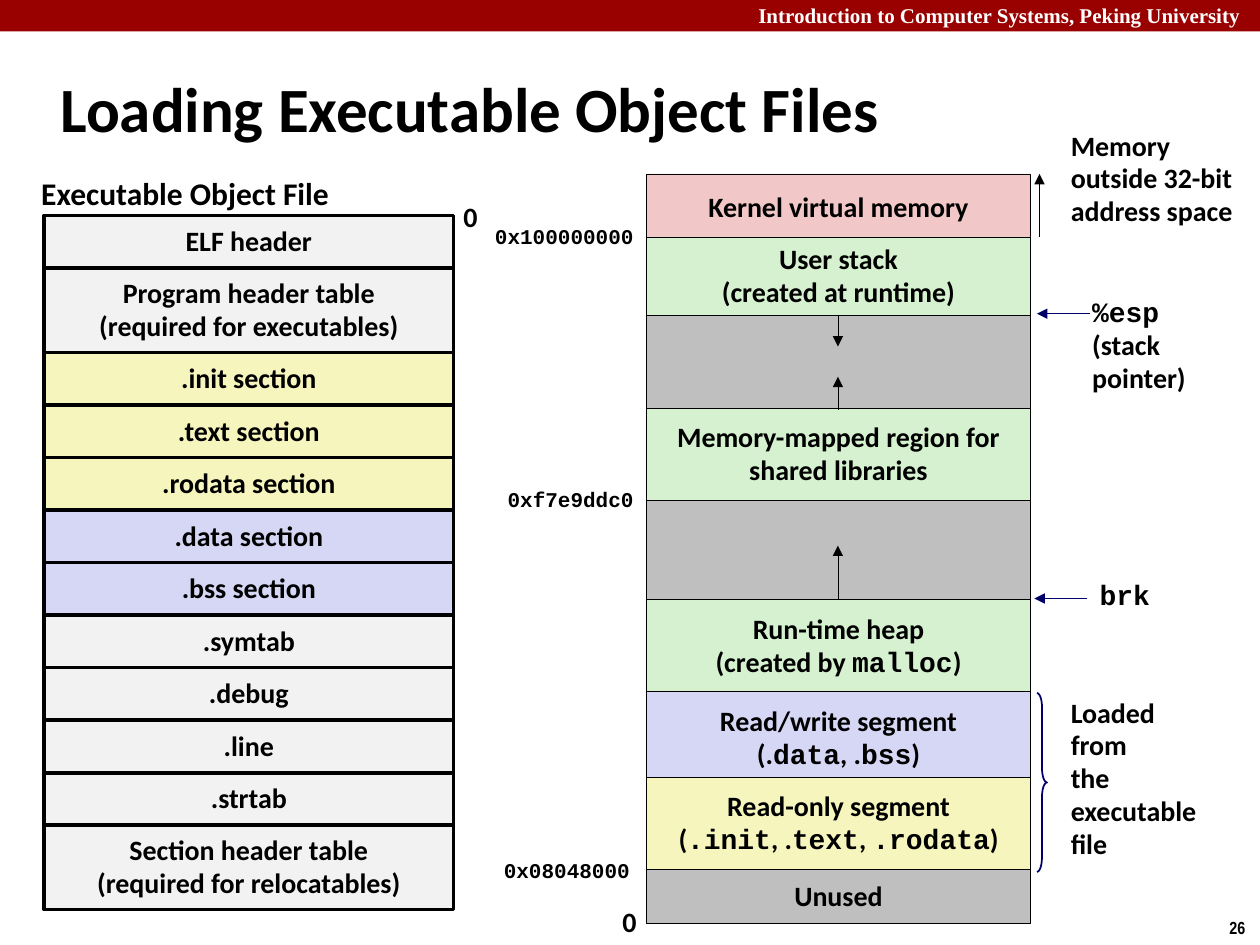
import lxml.etree
import pptx
import pptx.dml.color
import pptx.enum.shapes
import pptx.enum.text
import pptx.oxml.ns
import pptx.util

Inches = pptx.util.Inches
Color = pptx.dml.color.RGBColor
Shape = pptx.enum.shapes.MSO_SHAPE
Align = pptx.enum.text.PP_ALIGN
Anchor = pptx.enum.text.MSO_ANCHOR
AutoSize = pptx.enum.text.MSO_AUTO_SIZE

BLACK = Color(0x00, 0x00, 0x00)
WHITE = Color(0xFF, 0xFF, 0xFF)
CRIMSON = Color(0x99, 0x00, 0x00)
NAVY = Color(0x00, 0x00, 0x66)
LIGHT = Color(0xF2, 0xF2, 0xF2)
GRAY = Color(0xBF, 0xBF, 0xBF)
YELLOW = Color(0xF6, 0xF5, 0xBD)
LILAC = Color(0xD6, 0xD6, 0xF5)
GREEN = Color(0xD5, 0xF1, 0xCF)
PINK = Color(0xF1, 0xC7, 0xC7)


class SlideBuilder:
    """Draws styled elements on one page; a bar in text toggles the code font."""

    body_font = "Calibri"
    code_font = "Courier New"

    def __init__(self, page):
        self.page = page

    def apply(self, target, values):
        for name, value in values.items():
            setattr(target, name, value)

    def fill_text(self, box, text, size=16, font=body_font, color=BLACK,
                  align=Align.LEFT, spacing=None, **frame_values):
        frame = box.text_frame
        self.apply(frame, frame_values)
        for index, line in enumerate(text.split("\n")):
            para = frame.paragraphs[0] if index == 0 else frame.add_paragraph()
            default = 0.94 if line.startswith("|") else 0.98
            self.apply(para, {"alignment": align, "line_spacing": spacing or default})
            for position, piece in enumerate(line.split("|")):
                if piece:
                    span = para.add_run()
                    span.text = piece
                    name = self.code_font if position % 2 else font
                    self.apply(span.font, {"name": name, "size": pptx.util.Pt(size), "bold": True})
                    span.font.color.rgb = color

    def title(self, text, left, top, width, height):
        box = self.page.shapes.title
        self.apply(box, {"left": Inches(left), "top": Inches(top),
                         "width": Inches(width), "height": Inches(height)})
        self.fill_text(box, text, size=36, spacing=1.0, word_wrap=True,
                       vertical_anchor=Anchor.MIDDLE, auto_size=AutoSize.NONE)

    def label(self, text, left, top, width, height, **style):
        box = self.page.shapes.add_textbox(*map(Inches, (left, top, width, height)))
        self.fill_text(box, text, word_wrap=False,
                       auto_size=AutoSize.SHAPE_TO_FIT_TEXT, **style)

    def shape(self, left, top, width, height, kind=Shape.RECTANGLE,
              fill=None, line=None, weight=0.26, text=""):
        box = self.page.shapes.add_shape(kind, *map(Inches, (left, top, width, height)))
        box.shadow.inherit = False
        if fill is None:
            box.fill.background()
        else:
            box.fill.solid()
            box.fill.fore_color.rgb = fill
        if line is None:
            box.line.fill.background()
        else:
            box.line.color.rgb = line
            box.line.width = pptx.util.Pt(weight)
        if text:
            self.fill_text(box, text, align=Align.CENTER, word_wrap=False,
                           vertical_anchor=Anchor.MIDDLE)
        return box

    def arrow(self, start, end, color=BLACK):
        connector = self.page.shapes.add_connector(
            pptx.enum.shapes.MSO_CONNECTOR.STRAIGHT, *map(Inches, start + end))
        connector.line.color.rgb = color
        connector.line.width = pptx.util.Pt(0.26)
        qn = pptx.oxml.ns.qn
        properties = connector.element.spPr
        lxml.etree.SubElement(properties.find(qn("a:ln")), qn("a:tailEnd"), type="triangle")
        lxml.etree.SubElement(properties, qn("a:effectLst"))


deck = pptx.Presentation()
deck.slide_width, deck.slide_height = Inches(10), Inches(7.5)
builder = SlideBuilder(deck.slides.add_slide(deck.slide_layouts[5]))

builder.shape(0, 0, 10, 0.25, fill=CRIMSON)
builder.label("Introduction to Computer Systems, Peking University", 5.92, -0.03, 4.08, 0.3,
              size=12, font="Times New Roman", color=WHITE, spacing=1.0)
builder.label("26", 9.66, 7.23, 0.34, 0.27, size=10, font="Arial Narrow", spacing=1.0)
builder.title("Loading Executable Object Files", 0.38, 0.42, 9.53, 0.86)

file_sections = [
    ("ELF header", LIGHT),
    ("Program header table\n(required for executables)", LIGHT),
    (".init section", YELLOW),
    (".text section", YELLOW),
    (".rodata section", YELLOW),
    (".data section", LILAC),
    (".bss section", LILAC),
    (".symtab", LIGHT),
    (".debug", LIGHT),
    (".line", LIGHT),
    (".strtab", LIGHT),
    ("Section header table\n(required for relocatables)", LIGHT),
]
two_line_height = 0.67
one_line_height = (5.51 - 2 * two_line_height) / 10
section_top = 1.71
for text, fill in file_sections:
    height = two_line_height if "\n" in text else one_line_height
    builder.shape(0.35, section_top, 3.25, height, fill=fill, line=BLACK, weight=2, text=text)
    section_top += height

memory_regions = [
    (1.38, 0.53, PINK, "Kernel virtual memory"),
    (2.25, 0.99, GRAY, ""),
    (1.88, 0.62, GREEN, "User stack\n(created at runtime)"),
    (3.24, 0.73, GREEN, "Memory-mapped region for\nshared libraries"),
    (3.97, 0.79, GRAY, ""),
    (4.76, 0.73, GREEN, "Run-time heap\n(created by |malloc|)"),
    (5.49, 0.73, LILAC, "Read/write segment\n(.|data|, .|bss|)"),
    (6.17, 0.73, YELLOW, "Read-only segment\n(|.init|, .|text|, |.rodata|)"),
    (6.9, 0.43, GRAY, "Unused"),
]
for top, height, fill, text in memory_regions:
    builder.shape(5.13, top, 3.05, height, fill=fill, line=BLACK, text=text)

for start, end, color in [
    ((6.65, 2.5), (6.65, 2.75), BLACK),
    ((6.65, 3.25), (6.65, 2.99), BLACK),
    ((6.65, 4.75), (6.65, 4.33), BLACK),
    ((8.25, 1.88), (8.25, 1.38), BLACK),
    ((8.65, 2.49), (8.23, 2.49), NAVY),
    ((8.63, 4.75), (8.21, 4.75), NAVY),
]:
    builder.arrow(start, end, color)

brace = builder.shape(8.23, 5.5, 0.08, 1.42, kind=Shape.RIGHT_BRACE, line=NAVY, weight=1)
brace.adjustments[0] = 1.42
brace.adjustments[1] = 0.5

builder.label("Executable Object File", 0.22, 1.35, 2.5, 0.4, size=18, align=Align.CENTER)
for text, left, top, width, height in [
    ("0", 3.58, 1.55, 0.31, 0.37),
    ("0", 4.84, 7.14, 0.31, 0.37),
    ("Memory\noutside 32-bit\naddress space", 8.4, 0.98, 1.49, 0.89),
    ("|%esp \n(stack \npointer)", 8.57, 2.31, 0.95, 0.88),
    ("|brk", 8.63, 4.56, 0.6, 0.36),
    ("Loaded \nfrom \nthe \nexecutable \nfile", 8.4, 5.48, 1.26, 1.42),
]:
    builder.label(text, left, top, width, height)

for address, left, top, width in [
    ("0x100000000", 3.83, 1.74, 1.32),
    ("0xf7e9ddc0", 3.93, 3.83, 1.22),
    ("0x08048000", 3.9, 6.77, 1.22),
]:
    builder.label("|" + address, left, top, width, 0.3, size=12)

deck.save("out.pptx")
